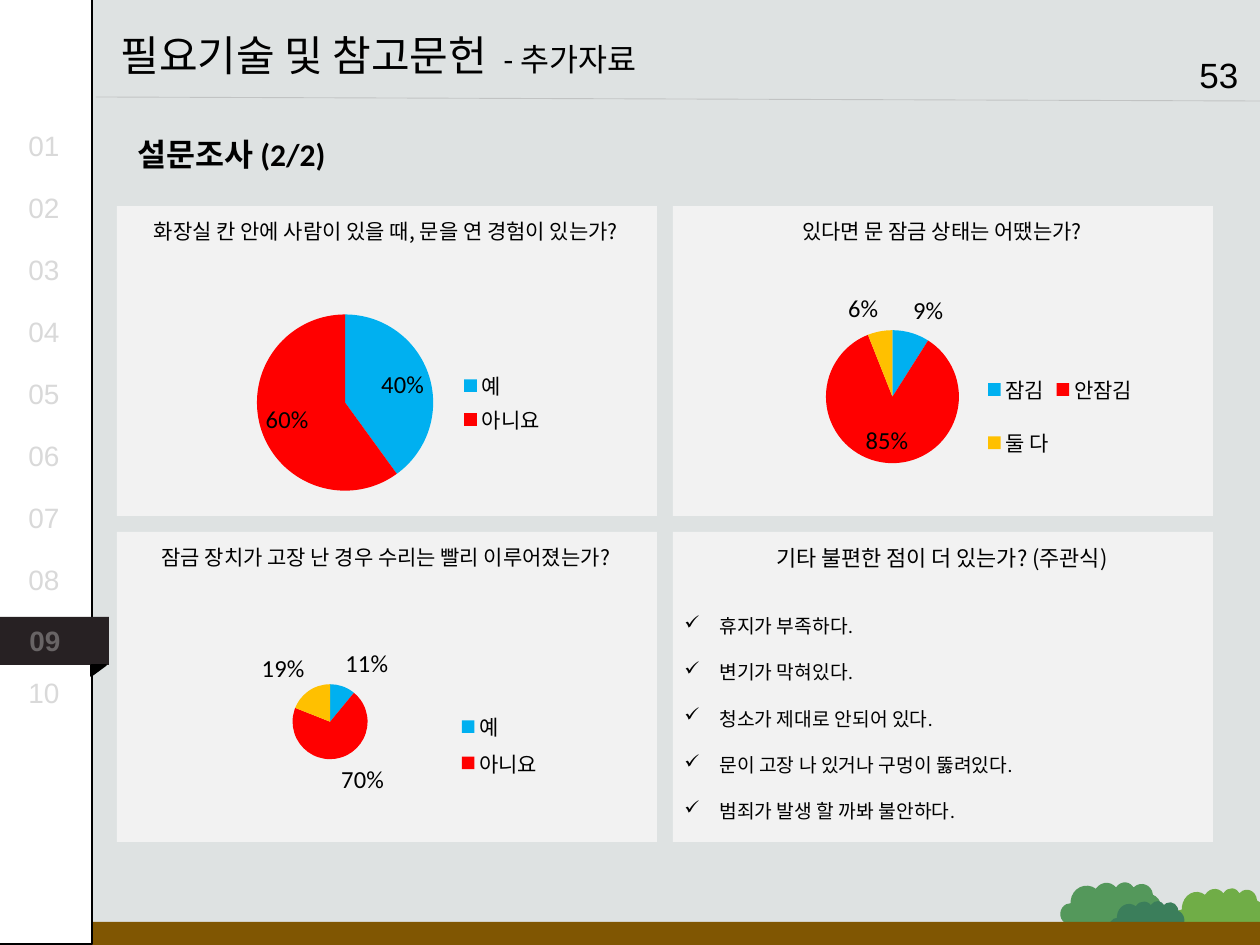
from lxml import etree
from pptx import Presentation
from pptx.chart.data import CategoryChartData
from pptx.dml.color import RGBColor
from pptx.enum.chart import XL_CHART_TYPE, XL_LABEL_POSITION, XL_LEGEND_POSITION
from pptx.enum.shapes import MSO_CONNECTOR, MSO_SHAPE
from pptx.enum.text import MSO_ANCHOR, MSO_AUTO_SIZE, PP_ALIGN
from pptx.oxml import parse_xml
from pptx.oxml.ns import nsdecls, qn
from pptx.util import Emu, Pt

PX = 914400 / 126
BLACK = RGBColor(0x00, 0x00, 0x00)
WHITE = RGBColor(0xFF, 0xFF, 0xFF)
BACKGROUND = RGBColor(0xDE, 0xE2, 0xE2)
PANEL = RGBColor(0xF2, 0xF2, 0xF2)
RULE_GRAY = RGBColor(0xA6, 0xA6, 0xA6)
NUMBER_GRAY = RGBColor(0xD9, 0xD9, 0xD9)
TAB_DARK = RGBColor(0x27, 0x21, 0x23)
GROUND = RGBColor(0x80, 0x56, 0x02)
LIGHT_BUSH = RGBColor(0x70, 0xAD, 0x47)
MID_BUSH = RGBColor(0x54, 0x98, 0x5B)
DARK_BUSH = RGBColor(0x3B, 0x7E, 0x5B)
SLICES = [RGBColor(0x00, 0xB0, 0xF0), RGBColor(0xFF, 0x00, 0x00), RGBColor(0xFF, 0xC0, 0x00)]
KOREAN = "Noto Sans CJK KR"


def add_shape(kind, box, fill, line=None, rotation=0):
    shape = slide.shapes.add_shape(kind, *[Emu(round(v * PX)) for v in box])
    shape.shadow.inherit = False
    shape.rotation = rotation
    shape.fill.solid()
    shape.fill.fore_color.rgb = fill
    if line is None:
        shape.line.fill.background()
    else:
        shape.line.color.rgb = line
        shape.line.width = Pt(1)
    return shape


def add_text(box, lines, size, font="Calibri", color=BLACK, bold=False,
             align=PP_ALIGN.LEFT, wrap=True, bullet=None):
    frame = slide.shapes.add_textbox(*[Emu(round(v * PX)) for v in box]).text_frame
    frame.word_wrap = wrap
    frame.auto_size = MSO_AUTO_SIZE.SHAPE_TO_FIT_TEXT
    frame.text = "\n".join(lines)
    for paragraph in frame.paragraphs:
        paragraph.alignment = align
        if bullet:
            properties = paragraph._p.get_or_add_pPr()
            properties.set("marL", str(round(35 * PX)))
            properties.set("indent", str(round(-35 * PX)))
            etree.SubElement(properties, qn("a:buChar"), char=bullet)
            paragraph.line_spacing = 2.0
        paragraph.font.size = Pt(size)
        paragraph.font.bold = bold
        paragraph.font.color.rgb = color
        paragraph.font.name = font
        if font != "Arial":
            defaults = paragraph._p.pPr.find(qn("a:defRPr"))
            etree.SubElement(defaults, qn("a:ea"), typeface=KOREAN)
    return frame


prs = Presentation()
prs.slide_width = Emu(round(1260 * PX))
prs.slide_height = Emu(round(945 * PX))
slide = prs.slides.add_slide(prs.slide_layouts[5])
slide.background.fill.solid()
slide.background.fill.fore_color.rgb = BACKGROUND

# Title
title = slide.shapes.title
title.left, title.top, title.width, title.height = [
    Emu(round(v * PX)) for v in (108, 23, 629, 63)]
title.text_frame.vertical_anchor = MSO_ANCHOR.MIDDLE
title.text_frame.auto_size = MSO_AUTO_SIZE.NONE
heading = title.text_frame.paragraphs[0]
heading.alignment = PP_ALIGN.LEFT
heading.font.name = "Calibri"
heading.font.color.rgb = BLACK
for words, size in [("필요기술 및 참고문헌 ", 24), (" - 추가자료", 18)]:
    run = heading.add_run()
    run.text = words
    run.font.size = Pt(size)

# Rule under the title
rule = slide.shapes.add_connector(
    MSO_CONNECTOR.STRAIGHT, *[Emu(round(v * PX)) for v in (1260, 101, 96, 97)])
rule.line.color.rgb = RULE_GRAY
rule.line.width = Pt(0.5)
rule_color = rule._element.spPr.find(".//" + qn("a:srgbClr"))
etree.SubElement(rule_color, qn("a:alpha"), val="50000")
etree.SubElement(rule._element.spPr, qn("a:effectLst"))

# Page number and section heading
add_text((1187, 47, 68, 55), ["53"], 20, "Arial")
add_text((125, 129, 226, 50), ["설문조사 (2/2)"], 18, bold=True, wrap=False)

# Panels with their questions
PANEL_X, PANEL_Y = (117, 673), (206, 532)
questions = [
    ("화장실 칸 안에 사람이 있을 때, 문을 연 경험이 있는가?", 12),
    ("있다면 문 잠금 상태는 어땠는가?", 12),
    ("잠금 장치가 고장 난 경우 수리는 빨리 이루어졌는가?", 12),
    ("기타 불편한 점이 더 있는가? (주관식)", 12.5),
]
for i, (question, size) in enumerate(questions):
    x, y = PANEL_X[i % 2], PANEL_Y[i // 2]
    add_shape(MSO_SHAPE.RECTANGLE, (x, y, 540, 310), PANEL)
    add_text((x - 2, y + 6, 542, 38), [question], size, KOREAN, align=PP_ALIGN.CENTER)

# Free answers
answers = ["휴지가 부족하다.", "변기가 막혀있다.", "청소가 제대로 안되어 있다.",
           "문이 고장 나 있거나 구멍이 뚫려있다.", "범죄가 발생 할 까봐 불안하다."]
add_text((672, 585, 542, 246), answers, 11, bullet="✓")

# Pie charts: position, answers, shares, pie box and legend box inside the chart (px)
CHART_W, CHART_H = 430, 242
pies = [
    (171, 266, ["예", "아니요"], [40, 60], (86, 48, 176, 176), (284, 101, 95, 70)),
    (727, 277, ["잠김", "안잠김", "둘 다"], [9, 85, 6], (99, 54, 132, 132), (252, 74, 160, 128)),
    (171, 602, ["예", "아니요", "잘 모르겠다"], [11, 70, 19], (119, 83, 76, 76), (284, 104, 95, 78)),
]
for x, y, choices, shares, pie_box, legend_box in pies:
    data = CategoryChartData()
    data.categories = choices
    data.add_series("Series 1", shares)
    chart = slide.shapes.add_chart(
        XL_CHART_TYPE.PIE, *[Emu(round(v * PX)) for v in (x, y, CHART_W, CHART_H)], data).chart
    chart.has_title = False
    chart.font.size = Pt(18)
    chart.font.name = "Calibri"
    chart.font.color.rgb = BLACK
    chart.has_legend = True
    chart.legend.position = XL_LEGEND_POSITION.RIGHT
    chart.legend.include_in_layout = False
    chart.legend.font.size = Pt(12)

    plot = chart.plots[0]
    plot.vary_by_categories = True
    for i in range(len(choices)):
        fill = plot.series[0].points[i].format.fill
        fill.solid()
        fill.fore_color.rgb = SLICES[i]
    labels = plot.series[0].data_labels
    labels.show_percentage = True
    labels.show_value = False
    labels.position = XL_LABEL_POSITION.BEST_FIT
    labels.font.size = Pt(14)

    plot_area = chart._chartSpace.chart.plotArea
    legend = chart.legend._element
    for parent, box, target in [(plot_area, pie_box, '<c:layoutTarget val="inner"/>'),
                                (legend, legend_box, "")]:
        for old in parent.findall(qn("c:layout")):
            parent.remove(old)
        left, top, width, height = box
        layout = parse_xml(
            f'<c:layout {nsdecls("c")}><c:manualLayout>{target}'
            '<c:xMode val="edge"/><c:yMode val="edge"/>'
            f'<c:x val="{left / CHART_W:.2f}"/><c:y val="{top / CHART_H:.2f}"/>'
            f'<c:w val="{width / CHART_W:.2f}"/><c:h val="{height / CHART_H:.2f}"/>'
            '</c:manualLayout></c:layout>')
        parent.insert(0 if parent is plot_area else 1, layout)

# Bushes and ground
for box, color in [((1172, 887, 93, 78), LIGHT_BUSH),
                   ((1060, 881, 102, 78), MID_BUSH),
                   ((1109, 900, 76, 62), DARK_BUSH)]:
    add_shape(MSO_SHAPE.CLOUD, box, color, rotation=5.4)
add_shape(MSO_SHAPE.RECTANGLE, (0, 922, 1260, 23), GROUND)

# Section sidebar with the current tab
add_shape(MSO_SHAPE.RECTANGLE, (-5, -1, 97, 945), WHITE, line=BLACK)
for i in range(8):
    add_text((16, 122 + 62 * i, 62, 47), [f"{i + 1:02d}"], 16, "Arial", NUMBER_GRAY)
add_text((16, 669, 62, 47), ["10"], 16, "Arial", NUMBER_GRAY)
add_shape(MSO_SHAPE.RECTANGLE, (-6, 617, 115, 48), TAB_DARK)
add_shape(MSO_SHAPE.RIGHT_TRIANGLE, (93, 663, 11, 15), BLACK, line=BLACK, rotation=90)
current = add_text((17, 617, 74, 47), ["09"], 16, "Arial", WHITE, bold=True)
current_color = current.paragraphs[0]._p.find(".//" + qn("a:srgbClr"))
etree.SubElement(current_color, qn("a:alpha"), val="30000")

prs.save("out.pptx")
